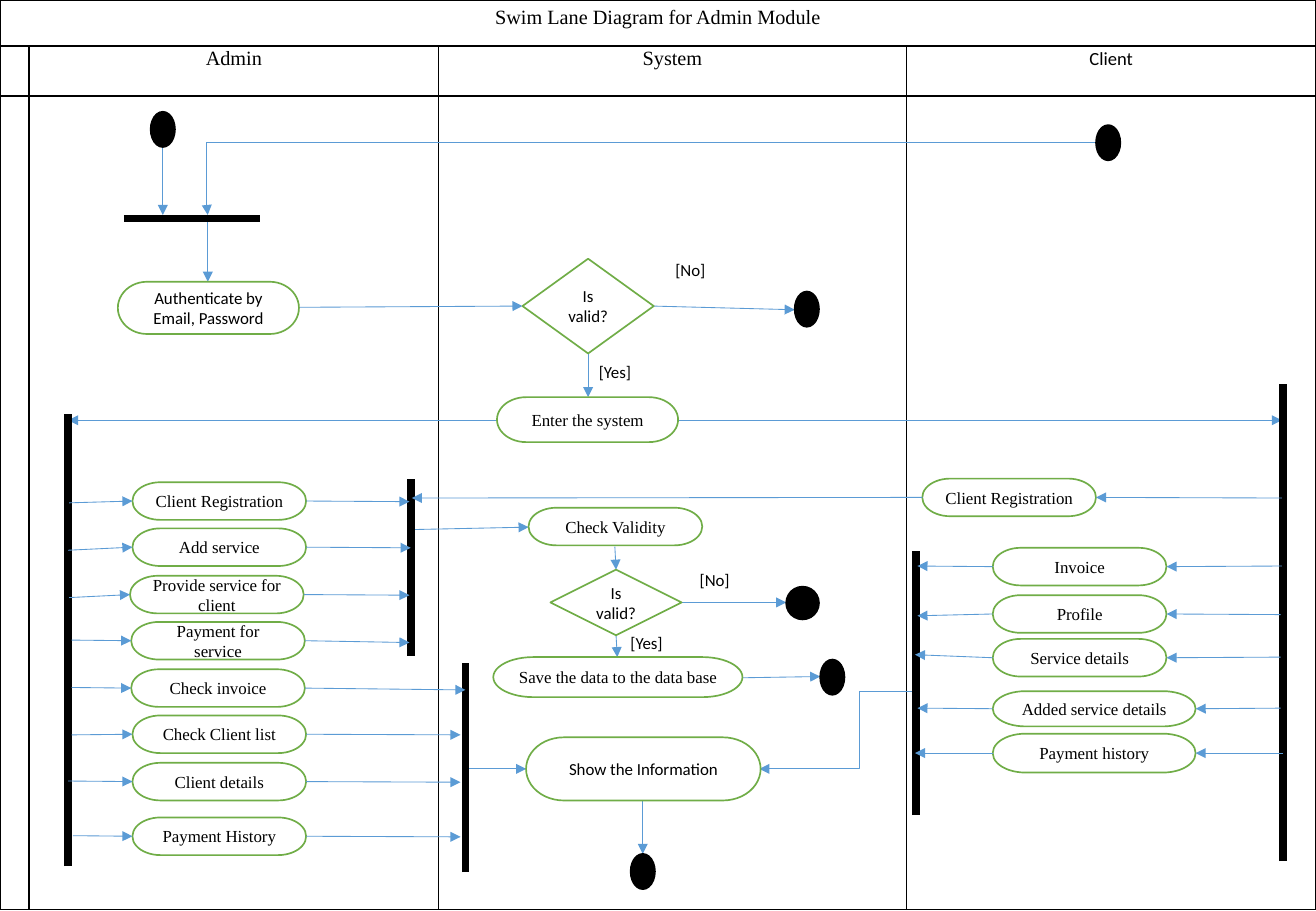
from dataclasses import dataclass
from lxml import etree
from pptx import Presentation
from pptx import util as u
from pptx.dml import color
from pptx.enum import shapes, text
from pptx.oxml import ns


@dataclass
class Theme:
    ink = color.RGBColor.from_string("000000")
    paper = color.RGBColor.from_string("FFFFFF")
    edge = color.RGBColor.from_string("70AD47")
    flow = color.RGBColor.from_string("5B9BD5")
    serif = "Times New Roman"
    sans = "Calibri"
    head = u.Pt(12)
    lane = u.Pt(11)
    body = u.Pt(10)
    thin = u.Pt(0.5)
    line = u.Pt(1)
    bar = u.Pt(4.5)


theme = Theme()
deck = Presentation()
deck.slide_width, deck.slide_height = u.Inches(10.83), u.Inches(7.5)
slide = deck.slides.add_slide(deck.slide_layouts[6])
col = deck.slide_width // 1083
row = deck.slide_height // 750
kinds = shapes.MSO_SHAPE
pill, rhomb, dot = kinds.FLOWCHART_TERMINATOR, kinds.DIAMOND, kinds.FLOWCHART_CONNECTOR


def node(kind, x, y, wide, high, words="", face=theme.serif):
    item = slide.shapes.add_shape(kind, x * col, y * row, wide * col, high * row)
    item.shadow.inherit = False
    item.fill.solid()
    item.fill.fore_color.rgb = theme.paper if words else theme.ink
    item.line.color.rgb = theme.edge if words else theme.ink
    item.line.width = theme.line
    if words:
        item.text_frame.text = words
        item.text_frame.vertical_anchor = text.MSO_ANCHOR.MIDDLE
        para = item.text_frame.paragraphs[0]
        para.alignment = text.PP_ALIGN.CENTER
        font = para.runs[0].font
        font.name, font.size, font.color.rgb = face, theme.body, theme.ink


def link(x1, y1, x2, y2, bar=False, bend=None):
    kind = shapes.MSO_CONNECTOR.ELBOW if bend else shapes.MSO_CONNECTOR.STRAIGHT
    item = slide.shapes.add_connector(kind, int(x1 * col), int(y1 * row), int(x2 * col), int(y2 * row))
    item.line.color.rgb = theme.ink if bar else theme.flow
    item.line.width = theme.bar if bar else theme.thin
    props = item.element.spPr
    if not bar:
        etree.SubElement(props.find(ns.qn("a:ln")), ns.qn("a:tailEnd"), type="triangle")
    if bend:
        guides = props.find(".//" + ns.qn("a:avLst"))
        etree.SubElement(guides, ns.qn("a:gd"), name="adj1", fmla=f"val {bend}")
    etree.SubElement(props, ns.qn("a:effectLst"))


wides, highs = (24, 337, 385, 337), (38, 41, 670)
frame = slide.shapes.add_table(3, 4, 0, 0, sum(wides) * col, sum(highs) * row)
table = frame.table
for part, wide in zip(table.columns, wides):
    part.width = wide * col
for part, high in zip(table.rows, highs):
    part.height = high * row
for props in frame.element.iter(ns.qn("a:tcPr")):
    for side in "LRTB":
        edge = etree.SubElement(props, ns.qn(f"a:ln{side}"), w=str(theme.line))
        fill = etree.SubElement(edge, ns.qn("a:solidFill"))
        etree.SubElement(fill, ns.qn("a:srgbClr"), val=str(theme.ink))
for cell in table.iter_cells():
    cell.fill.background()
table.cell(0, 0).merge(table.cell(0, 3))
heads = [
    (0, 0, "Swim Lane Diagram for Admin Module", theme.serif, theme.head),
    (1, 1, "Admin", theme.serif, theme.head),
    (1, 2, "System", theme.serif, theme.head),
    (1, 3, "Client", theme.sans, theme.lane),
]
for r, c, words, face, size in heads:
    cell = table.cell(r, c)
    cell.text = words
    para = cell.text_frame.paragraphs[0]
    para.alignment = text.PP_ALIGN.CENTER
    font = para.runs[0].font
    font.name, font.size, font.bold, font.color.rgb = face, size, False, theme.ink
    if r:
        cell.margin_left = cell.margin_right = 7 * col
        cell.margin_top = cell.margin_bottom = 0
        para.line_spacing = 1.07

flows = [
    (507, 523, 508, 541), (246, 253, 430, 252), (171, 180, 171, 232),
    (134, 121, 134, 177), (409, 346, 56, 346), (484, 291, 484, 327),
    (537, 252, 654, 255), (558, 346, 1055, 346), (506, 450, 507, 469),
    (561, 496, 647, 496), (339, 436, 435, 434), (529, 659, 529, 703),
    (611, 558, 675, 557), (384, 633, 433, 633),
]
for ends in flows:
    link(*ends)
link(755, 569, 625, 633, bend=36900)
link(902, 117, 171, 177, bend=100100)

bars = [
    (102, 180, 214, 180), (1056, 709, 1056, 316), (56, 713, 56, 341),
    (338, 540, 338, 394), (383, 718, 383, 546), (754, 671, 754, 454),
]
for ends in bars:
    link(*ends, bar=True)

for x, y in [(124, 92), (902, 103), (519, 703), (675, 543), (654, 240)]:
    node(dot, x, y, 20, 29)
node(dot, 647, 483, 27, 27)

steps = [
    (pill, 97, 232, 149, 43, "Authenticate by Email, Password", theme.sans),
    (rhomb, 430, 213, 108, 78, "Is valid?", theme.sans),
    (pill, 409, 327, 149, 37, "Enter the system"),
    (pill, 435, 418, 143, 31, "Check Validity"),
    (rhomb, 453, 469, 108, 54, "Is valid?", theme.sans),
    (pill, 406, 541, 205, 33, "Save the data to the data base"),
    (pill, 433, 607, 193, 52, "Show the Information", theme.sans),
]
for step in steps:
    node(*step)

admin = [
    ("Client Registration", 109, 397, 143, 31, (57, 414), (337, 413)),
    ("Add service", 109, 435, 143, 31, (56, 453), (338, 451)),
    ("Provide service for client", 107, 474, 143, 31, (57, 492), (337, 490)),
    ("Payment for service", 108, 512, 143, 31, (59, 527), (337, 529)),
    ("Check invoice", 108, 551, 143, 31, (59, 566), (383, 568)),
    ("Check Client list", 109, 589, 143, 31, (59, 605), (379, 605)),
    ("Client details", 109, 628, 143, 31, (56, 643), (379, 644)),
    ("Payment History", 109, 673, 143, 31, (60, 688), (379, 689)),
]
client = [
    ("Client Registration", 759, 394, 143, 31, (1055, 410), (339, 410)),
    ("Invoice", 817, 451, 143, 31, (1055, 466), (755, 466)),
    ("Profile", 817, 490, 143, 31, (1054, 506), (755, 507)),
    ("Service details", 817, 526, 143, 31, (1054, 541), (753, 539)),
    ("Added service details", 817, 569, 167, 29, (1054, 583), (755, 583)),
    ("Payment history", 817, 604, 167, 32, (1056, 620), (753, 620)),
]
for lane in (admin, client):
    for words, x, y, wide, high, start, end in lane:
        node(pill, x, y, wide, high, words)
        near, far = (x, x + wide) if lane is admin else (x + wide, x)
        mid = y + high / 2
        link(*start, near, mid)
        link(far, mid, *end)

for words, x, y in [("[Yes]", 509, 516), ("[Yes]", 483, 293), ("[No]", 566, 464), ("[No]", 546, 209)]:
    note = slide.shapes.add_textbox(x * col, y * row, 60 * col, 27 * row)
    note.text_frame.word_wrap = True
    note.text_frame.text = words
    font = note.text_frame.paragraphs[0].runs[0].font
    font.name, font.size, font.color.rgb = theme.sans, theme.body, theme.ink

deck.save("out.pptx")
